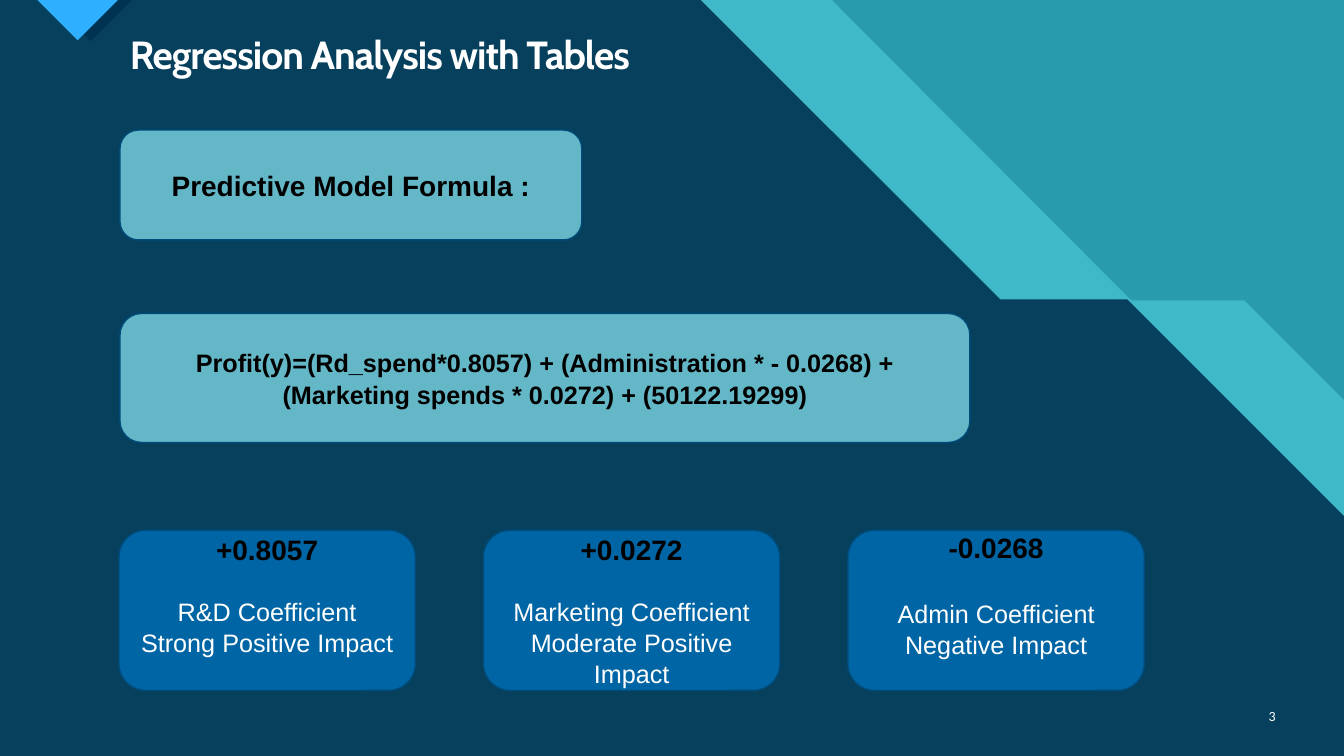
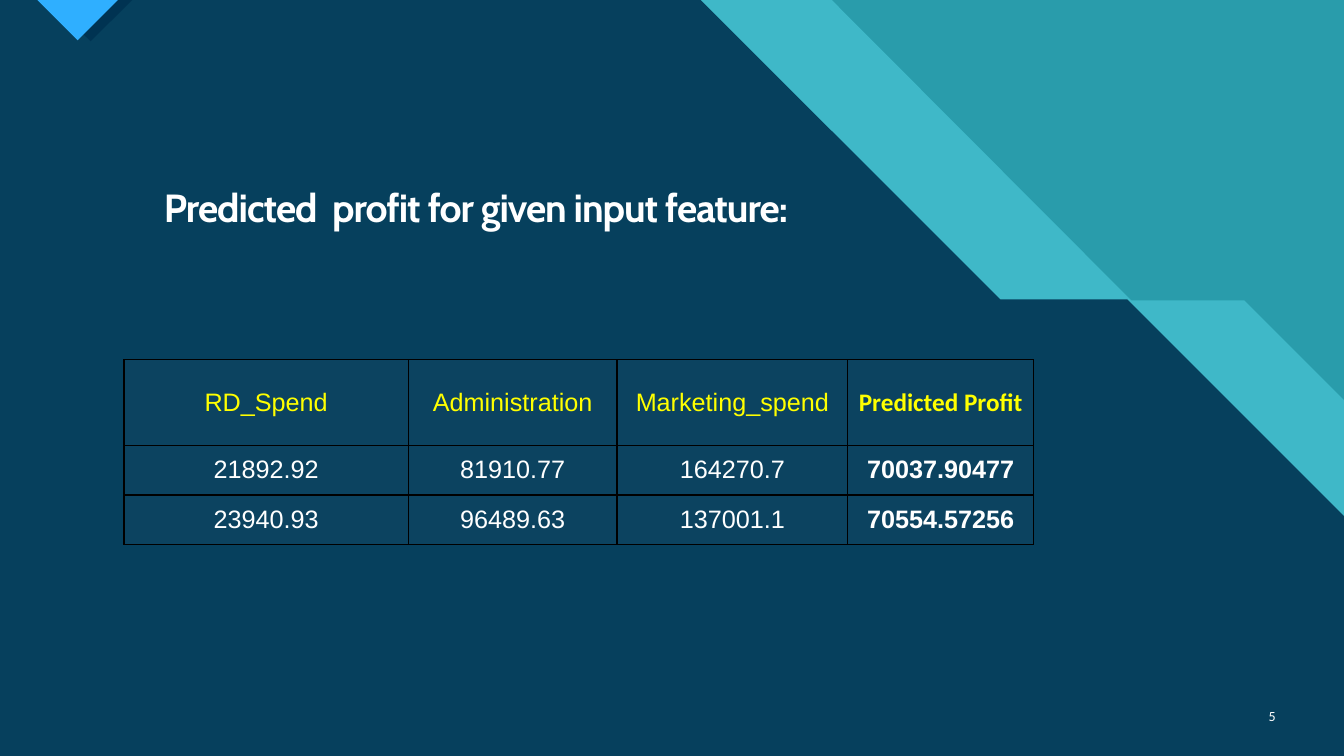
import pptx
import pptx.util
import pptx.dml.color
import pptx.enum.shapes
import pptx.enum.text
import pptx.oxml
import pptx.oxml.ns

Inches = pptx.util.Inches
Pt = pptx.util.Pt
RGB = pptx.dml.color.RGBColor.from_string
ALIGN = pptx.enum.text.PP_ALIGN
MID = pptx.enum.text.MSO_ANCHOR.MIDDLE
TOP = pptx.enum.text.MSO_ANCHOR.TOP
ROUND = pptx.enum.shapes.MSO_SHAPE.ROUNDED_RECTANGLE
NS = pptx.oxml.ns.nsdecls("a")

hues = {
    "teal": "299CAB", "aqua": "47C3D3", "navy": "003352", "sky": "2FAFFF",
    "pale": "63B7C6", "blue": "0065A4", "edge": "004B79", "cell": "0C4360",
    "white": "FFFFFF", "black": "000000", "yellow": "FFFF00",
}

looks = {
    "title": ({"size": Pt(28), "name": "Cabin", "bold": True}, "white"),
    "page": ({"size": Pt(10), "name": "Calibri"}, "white"),
    "label": ({"size": Pt(20), "name": "Arial", "bold": True}, "black"),
    "model": ({"size": Pt(18), "name": "Arial", "bold": True}, "black"),
    "note": ({"size": Pt(18), "name": "Arial", "bold": False}, "white"),
    "total": ({"size": Pt(18), "name": "Arial", "bold": True}, "white"),
    "head": ({"size": Pt(18), "name": "Arial", "bold": False}, "yellow"),
    "last": ({"size": Pt(18), "name": "Calibri", "bold": True}, "yellow"),
}

bands = [
    ("aqua", 74, [(0, 0), (8.25, 0), (11.22, 2.98), (12.34, 2.98),
                  (13.33, 3.97), (13.33, 7.5), (0, 7.5)]),
    ("navy", 90, [(0, 0), (6.95, 0), (9.92, 2.97), (11.18, 2.97),
                  (13.33, 5.12), (13.33, 7.5), (0, 7.5)]),
    ("navy", 100, [(0.48, 0), (1.31, 0), (0.9, 0.41)]),
    ("sky", 100, [(0.37, 0), (1.17, 0), (0.77, 0.4)]),
]


def write(frame, lines, align=ALIGN.CENTER, pitch=1.0):
    frame.word_wrap = True
    for i, (text, look) in enumerate(lines):
        para = frame.paragraphs[0] if i == 0 else frame.add_paragraph()
        para.alignment = align
        para.line_spacing = pitch
        run = para.add_run()
        run.text = text
        form, hue = looks[look]
        for key, val in form.items():
            setattr(run.font, key, val)
        run.font.color.rgb = RGB(hues[hue])


def panel(slide, box, fill, lines):
    shape = slide.shapes.add_shape(ROUND, *map(Inches, box))
    shape.shadow.inherit = False
    shape.fill.solid()
    shape.fill.fore_color.rgb = RGB(hues[fill])
    shape.line.color.rgb = RGB(hues["edge"])
    shape.line.width = Pt(1)
    shape.text_frame.vertical_anchor = MID
    write(shape.text_frame, lines, pitch=1.03)
    return shape.text_frame


deck = pptx.Presentation()
deck.slide_width = Inches(13.33)
deck.slide_height = Inches(7.5)

pages = [
    ("3", "Regression Analysis with Tables", (1.19, 0.3, 5.6, 0.53), ALIGN.LEFT),
    ("5", "Predicted  profit for given input feature:", (0.99, 1.82, 7.46, 0.95), ALIGN.CENTER),
]
slides = []
for num, title, spot, align in pages:
    slide = deck.slides.add_slide(deck.slide_layouts[6])
    slides.append(slide)
    slide.background.fill.solid()
    slide.background.fill.fore_color.rgb = RGB(hues["teal"])
    for hue, alpha, points in bands:
        spots = [(Inches(x), Inches(y)) for x, y in points]
        form = slide.shapes.build_freeform(*spots[0], scale=1.0)
        form.add_line_segments(spots[1:], close=True)
        band = form.convert_to_shape()
        band.shadow.inherit = False
        band.line.fill.background()
        band.fill.solid()
        band.fill.fore_color.rgb = RGB(hues[hue])
        if alpha < 100:
            tint = band.fill._xPr.find(".//" + pptx.oxml.ns.qn("a:srgbClr"))
            tint.append(pptx.oxml.parse_xml(f'<a:alpha {NS} val="{alpha * 1000}"/>'))
    frame = slide.shapes.add_textbox(*map(Inches, spot)).text_frame
    frame.vertical_anchor = TOP
    write(frame, [(title, "title")], align, 0.9)
    frame.paragraphs[0].runs[0].font._element.set("spc", "-70")
    frame = slide.shapes.add_textbox(*map(Inches, (12.31, 6.9, 0.44, 0.4))).text_frame
    frame.vertical_anchor = MID
    write(frame, [(num, "page")], ALIGN.RIGHT)

model, result = slides
panel(model, (1.19, 1.29, 4.58, 1.09), "pale", [("Predictive Model Formula :", "label")])
panel(model, (1.19, 3.11, 8.43, 1.28), "pale", [(
    "Profit(y)=(Rd_spend*0.8057) + (Administration * - 0.0268) + "
    "(Marketing spends * 0.0272) + (50122.19299)", "model")])

cards = [
    ("+0.8057", "R&D Coefficient", "Strong Positive Impact", 21, 0.36),
    ("+0.0272", "Marketing Coefficient", "Moderate Positive Impact", 21, 0.05),
    ("-0.0268", "Admin Coefficient", "Negative Impact", 24, 0.36),
]
for i, (value, name, impact, gap, foot) in enumerate(cards):
    frame = panel(model, (1.18 + i * 3.615, 5.26, 2.94, 1.59), "blue",
                  [(value, "label"), (name, "note"), (impact, "note")])
    frame.paragraphs[0].space_after = Pt(gap)
    frame.margin_bottom = Inches(foot)

rows = [
    ["RD_Spend", "Administration", "Marketing_spend", "Predicted Profit"],
    ["21892.92", "81910.77", "164270.7", "70037.90477"],
    ["23940.93", "96489.63", "137001.1", "70554.57256"],
]
table = result.shapes.add_table(3, 4, *map(Inches, (1.23, 3.57, 9.02, 1.83))).table
table.first_row = False
table.horz_banding = False
for col, width in zip(table.columns, (2.82, 2.07, 2.29, 1.84)):
    col.width = Inches(width)
for r, (texts, height) in enumerate(zip(rows, (0.85, 0.49, 0.49))):
    table.rows[r].height = Inches(height)
    for c, text in enumerate(texts):
        cell = table.cell(r, c)
        cell.vertical_anchor = MID
        cell.margin_left = cell.margin_right = Inches(0.05)
        if r == 0:
            look = "last" if c == 3 else "head"
        else:
            look = "total" if c == 3 else "note"
        write(cell.text_frame, [(text, look)])
        props = cell._tc.get_or_add_tcPr()
        for side in ("lnL", "lnR", "lnT", "lnB"):
            props.append(pptx.oxml.parse_xml(
                f'<a:{side} {NS} w="12700"><a:solidFill>'
                f'<a:srgbClr val="{hues["black"]}"/></a:solidFill></a:{side}>'))
        cell.fill.solid()
        cell.fill.fore_color.rgb = RGB(hues["cell"])

deck.save("out.pptx")
